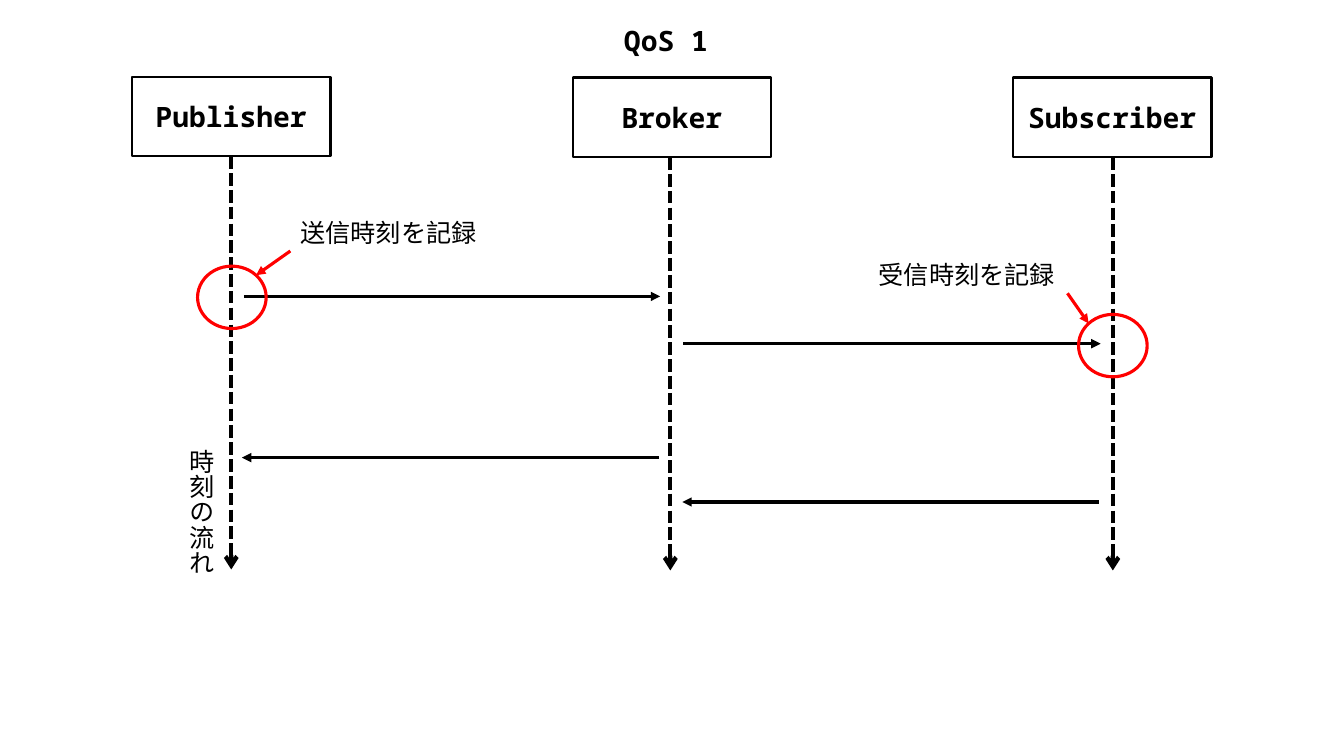
from dataclasses import dataclass

from lxml import etree
from pptx import Presentation
from pptx.dml.color import RGBColor
from pptx.enum.dml import MSO_LINE
from pptx.enum.shapes import MSO_CONNECTOR, MSO_SHAPE
from pptx.enum.text import MSO_ANCHOR, MSO_AUTO_SIZE, PP_ALIGN
from pptx.oxml.ns import qn
from pptx.util import Pt

DASH = MSO_LINE.SQUARE_DOT
STRAIGHT = MSO_CONNECTOR.STRAIGHT
RECTANGLE, OVAL = MSO_SHAPE.RECTANGLE, MSO_SHAPE.OVAL
TOP, MIDDLE = MSO_ANCHOR.TOP, MSO_ANCHOR.MIDDLE
FIT_SHAPE = MSO_AUTO_SIZE.SHAPE_TO_FIT_TEXT
NO_FIT = MSO_AUTO_SIZE.NONE
LEFT, CENTER = PP_ALIGN.LEFT, PP_ALIGN.CENTER


@dataclass(frozen=True)
class Theme:
    ink: RGBColor = RGBColor(0, 0, 0)
    accent: RGBColor = RGBColor(255, 0, 0)
    paper: RGBColor = RGBColor(255, 255, 255)
    mono: str = "Noto Sans Mono"
    japanese: str = "Noto Sans CJK JP"
    vertical: str = "Noto Sans CJK SC"
    heading_size: float = 20
    label_size: float = 18
    box_line: float = 1.5
    arrow_line: float = 2.25
    lifeline: float = 3


@dataclass(frozen=True)
class Box:
    left: float
    top: float
    width: float
    height: float

    def lengths(self):
        return [Pt(value) for value in (self.left, self.top, self.width, self.height)]


THEME = Theme()
HEAD_WIDTH, HEAD_HEIGHT = 141.8, 56.9
LIFELINE_LENGTH = 295.2
PARTICIPANTS = [
    ("Publisher", 94.3, 54.7, 70.9),
    ("Broker", 409, 55.4, 69.8),
    ("Subscriber", 723.6, 55.4, 71.3),
]
MESSAGES = [
    (174.2, 471.6, 211.7),
    (488.2, 786.2, 245.5),
    (470.9, 172.8, 326.9),
    (784.8, 487.4, 358.6),
]
RECORDINGS = [
    ("送信時刻を記録", Box(141.1, 190.1, 49, 44.6),
     (66.3, -38.2), (66.3, -10.8), (41.8, 6.5)),
    ("受信時刻を記録", Box(770.4, 224.6, 49, 44.6),
     (-149.8, -43.2), (-7.9, -15.1), (7.2, 6.5)),
]


def write(shape, text, font, size, bold=False, align=LEFT, anchor=TOP, fit=FIT_SHAPE):
    frame = shape.text_frame
    frame.word_wrap = True
    frame.auto_size = fit
    frame.vertical_anchor = anchor
    frame.margin_left = frame.margin_right = Pt(7.2)
    frame.margin_top = frame.margin_bottom = Pt(3.6)
    para = frame.paragraphs[0]
    para.alignment = align
    span = para.add_run()
    span.text = text
    span.font.name = font
    span.font.size = Pt(size)
    span.font.bold = bold
    span.font.color.rgb = THEME.ink
    etree.SubElement(span.font._element, qn("a:ea"), typeface=font)


def add_label(page, box, text, font):
    label = page.shapes.add_textbox(*box.lengths())
    write(label, text, font, THEME.label_size)
    return label


def add_outline(page, kind, box, color, weight):
    shape = page.shapes.add_shape(kind, *box.lengths())
    shape.shadow.inherit = False
    shape.fill.background()
    shape.line.color.rgb = color
    shape.line.width = Pt(weight)
    return shape


def add_arrow(page, start, end, color, weight, head="triangle"):
    arrow = page.shapes.add_connector(
        STRAIGHT, *[Pt(value) for value in (*start, *end)])
    arrow.line.color.rgb = color
    arrow.line.width = Pt(weight)
    properties = arrow._element.spPr
    etree.SubElement(properties.find(qn("a:ln")), qn("a:tailEnd"), type=head)
    etree.SubElement(properties, qn("a:effectLst"))
    return arrow


def add_title(page, box, text):
    title = page.shapes.title
    title.left, title.top, title.width, title.height = box.lengths()
    write(title, text, THEME.mono, THEME.heading_size, bold=True)


def add_participant(page, box, name, lifeline_offset):
    head = add_outline(page, RECTANGLE, Box(box.left, box.top, box.width, HEAD_HEIGHT),
                       THEME.ink, THEME.box_line)
    write(head, name, THEME.mono, THEME.heading_size, bold=True,
          align=CENTER, anchor=MIDDLE, fit=NO_FIT)
    x = box.left + lifeline_offset
    lifeline = add_arrow(page, (x, box.top + HEAD_HEIGHT), (x, box.top + box.height),
                         THEME.ink, THEME.lifeline, "arrow")
    lifeline.line.dash_style = DASH


def add_recording(page, box, text, label_offset, arrow_start, arrow_end):
    def place(offset):
        return box.left + offset[0], box.top + offset[1]

    add_label(page, Box(*place(label_offset), 141.8, 28.8), text, THEME.japanese)
    add_outline(page, OVAL, box, THEME.accent, THEME.arrow_line)
    add_arrow(page, place(arrow_start), place(arrow_end), THEME.accent, THEME.arrow_line)


def add_time_axis(page, box, text):
    label = add_label(page, box, text, THEME.vertical)
    label.text_frame._txBody.bodyPr.set("vert", "eaVert")


def build_sequence(page):
    page.background.fill.solid()
    page.background.fill.fore_color.rgb = THEME.paper
    add_title(page, Box(438.5, 13, 83.5, 31.7), "QoS 1")
    for name, left, top, lifeline_offset in PARTICIPANTS:
        box = Box(left, top, HEAD_WIDTH, HEAD_HEIGHT + LIFELINE_LENGTH)
        add_participant(page, box, name, lifeline_offset)
    for start, end, y in MESSAGES:
        add_arrow(page, (start, y), (end, y), THEME.ink, THEME.arrow_line)
    for text, circle, *offsets in RECORDINGS:
        add_recording(page, circle, text, *offsets)
    add_time_axis(page, Box(122.4, 313.9, 36, 118.8), "時刻の流れ")


def main():
    deck = Presentation()
    deck.slide_width, deck.slide_height = Pt(960), Pt(540)
    build_sequence(deck.slides.add_slide(deck.slide_layouts.get_by_name("Title Only")))
    deck.save("out.pptx")


if __name__ == "__main__":
    main()
